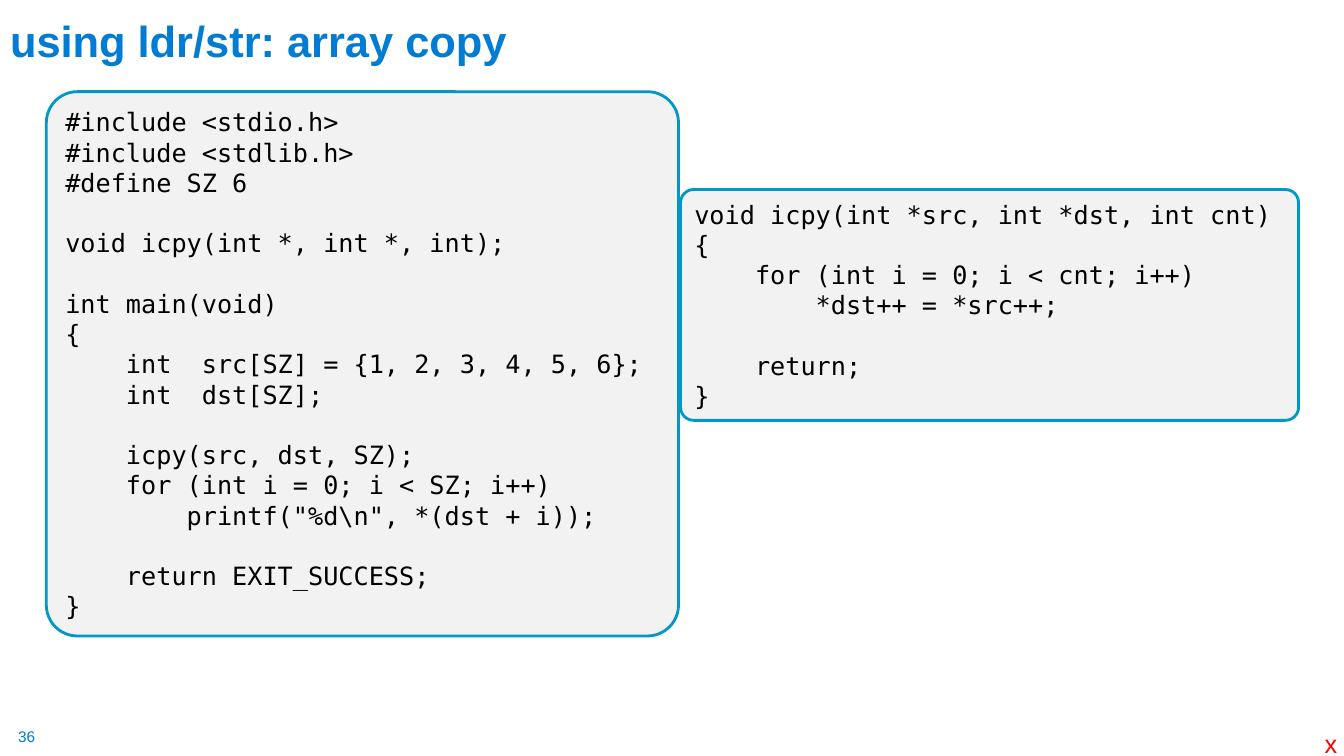
from dataclasses import dataclass

from pptx import Presentation
from pptx import util as u
from pptx.dml.color import RGBColor
from pptx.enum import shapes, text


@dataclass(frozen=True)
class Theme:
    blue: str = "007CD5"
    border: str = "0098C9"
    panel: str = "F2F2F2"
    code: str = "000000"
    red: str = "FF0000"
    sans: str = "Arial"
    mono: str = "DejaVu Sans Mono"
    title_size: int = 31
    body_size: int = 18
    number_size: int = 11
    line_pitch: float = 21.6
    border_width: int = 2
    corner: float = 0.057


THEME = Theme()

MAIN_CODE = r"""#include <stdio.h>
#include <stdlib.h>
#define SZ 6

void icpy(int *, int *, int);

int main(void)
{
    int  src[SZ] = {1, 2, 3, 4, 5, 6};
    int  dst[SZ];

    icpy(src, dst, SZ);
    for (int i = 0; i < SZ; i++)
        printf("%d\n", *(dst + i));

    return EXIT_SUCCESS;
}"""

COPY_CODE = """void icpy(int *src, int *dst, int cnt)
{
    for (int i = 0; i < cnt; i++)
        *dst++ = *src++;

    return;
}"""


def set_all(target, values):
    for name, value in values.items():
        setattr(target, name, value)


def place(shape, *bounds):
    sides = ("left", "top", "width", "height")
    set_all(shape, {side: u.Inches(value) for side, value in zip(sides, bounds)})


def write(para, words, size, color, font, bold=False):
    span = para.add_run()
    span.text = words
    set_all(span.font, {"size": u.Pt(size), "name": font, "bold": bold})
    span.font.color.rgb = RGBColor.from_string(color)


def add_title(page, words):
    title = page.shapes.title
    place(title, 0, 0.23, 10.72, 0.48)
    set_all(title.text_frame, {
        "vertical_anchor": text.MSO_ANCHOR.BOTTOM,
        "auto_size": text.MSO_AUTO_SIZE.NONE,
        "word_wrap": True,
    })
    para = title.text_frame.paragraphs[0]
    para.alignment = text.PP_ALIGN.LEFT
    write(para, words, THEME.title_size, THEME.blue, THEME.sans, bold=True)


def add_label(page, bounds, words, size, color, inset=None):
    box = page.shapes.add_textbox(*map(u.Inches, bounds))
    frame = box.text_frame
    frame.word_wrap = False
    if inset is not None:
        margins = ("margin_left", "margin_top", "margin_right", "margin_bottom")
        set_all(frame, dict.fromkeys(margins, u.Inches(inset)))
    write(frame.paragraphs[0], words, size, color, THEME.sans)


def add_code_panel(page, bounds, code):
    """Draw a rounded panel; an empty code line becomes space before the next."""
    panel = page.shapes.add_shape(
        shapes.MSO_SHAPE.ROUNDED_RECTANGLE, *map(u.Inches, bounds))
    panel.adjustments[0] = THEME.corner
    panel.shadow.inherit = False
    panel.fill.solid()
    panel.fill.fore_color.rgb = RGBColor.from_string(THEME.panel)
    panel.line.color.rgb = RGBColor.from_string(THEME.border)
    panel.line.width = u.Pt(THEME.border_width)

    frame = panel.text_frame
    set_all(frame, {"word_wrap": True, "vertical_anchor": text.MSO_ANCHOR.MIDDLE})
    para = frame.paragraphs[0]
    for block_index, block in enumerate(code.split("\n\n")):
        for line_index, line in enumerate(block.split("\n")):
            if block_index or line_index:
                para = frame.add_paragraph()
            starts_block = block_index > 0 and line_index == 0
            set_all(para, {
                "alignment": text.PP_ALIGN.LEFT,
                "line_spacing": u.Pt(THEME.line_pitch),
                "space_before": u.Pt(THEME.line_pitch if starts_block else 0),
            })
            write(para, line, THEME.body_size, THEME.code, THEME.mono)


def main():
    deck = Presentation()
    set_all(deck, {"slide_width": u.Inches(13.33), "slide_height": u.Inches(7.5)})
    page = deck.slides.add_slide(deck.slide_layouts.get_by_name("Title Only"))

    add_title(page, "using ldr/str: array copy")
    add_label(page, (0.18, 7.21, 0.19, 0.19), "36",
              THEME.number_size, THEME.blue, inset=0)
    add_code_panel(page, (0.46, 0.91, 6.27, 5.4), MAIN_CODE)
    add_label(page, (13.04, 7.18, 0.33, 0.4), "x", THEME.body_size, THEME.red)
    add_code_panel(page, (6.75, 1.88, 6.13, 2.29), COPY_CODE)

    deck.save("out.pptx")


if __name__ == "__main__":
    main()
